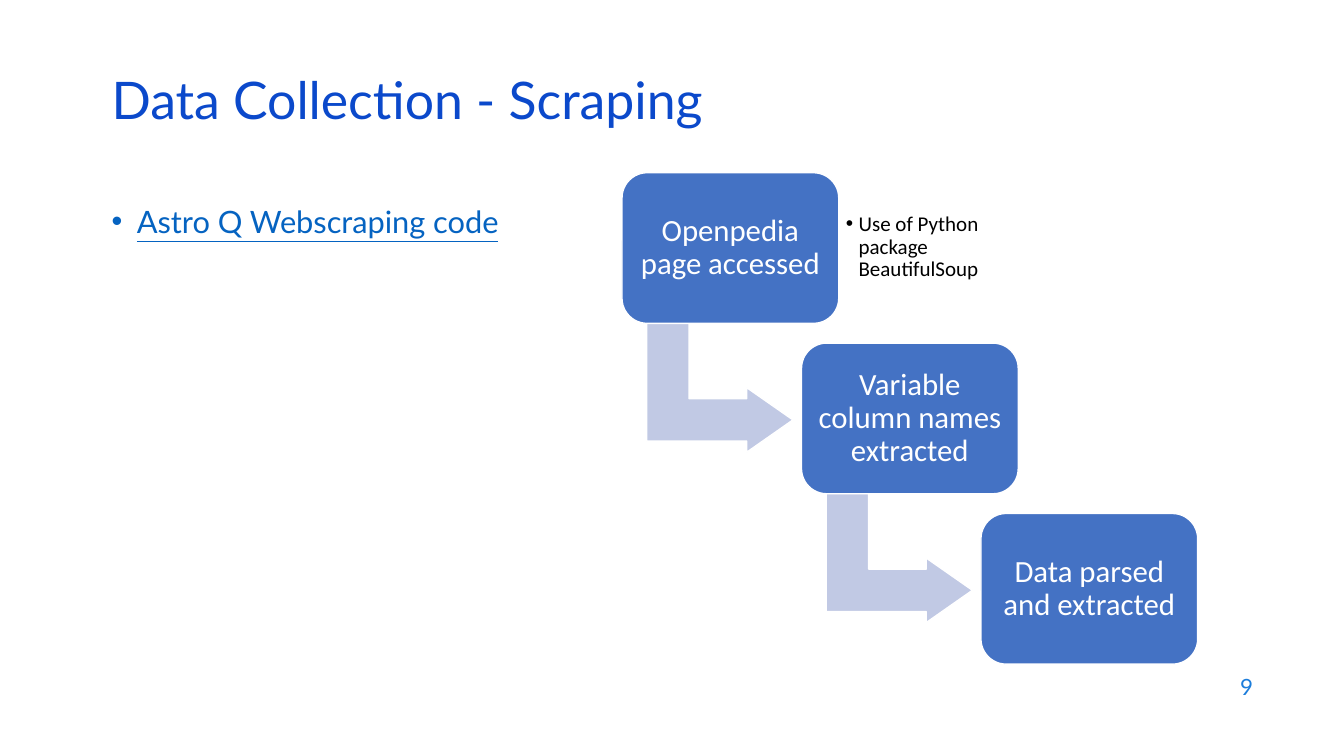
from dataclasses import dataclass
from typing import Optional

from lxml import etree
from pptx import Presentation
from pptx import util as u
from pptx.dml import color
from pptx.enum import shapes, text
from pptx.oxml import ns


@dataclass(frozen=True)
class Theme:
    heading_font: str = "Lato"
    diagram_font: str = "Calibri"
    title: str = "0B49CB"
    link: str = "0563C1"
    number: str = "1C7DDB"
    card: str = "4472C4"
    arrow: str = "C1C9E4"
    white: str = "FFFFFF"
    black: str = "000000"
    title_size: float = 37
    body_size: float = 22
    note_size: float = 15
    number_size: float = 16


@dataclass(frozen=True)
class Frame:
    left: float
    top: float
    width: float
    height: float

    def lengths(self) -> tuple:
        return tuple(u.Pt(n) for n in (self.left, self.top, self.width, self.height))


@dataclass(frozen=True)
class Label:
    words: str
    font: str
    size: float
    ink: str
    align: text.PP_ALIGN = text.PP_ALIGN.LEFT
    anchor: text.MSO_ANCHOR = text.MSO_ANCHOR.MIDDLE
    spacing: float = 1.0
    bullet_indent: float = 0
    underline: Optional[bool] = None
    inset: Optional[float] = None


THEME = Theme()
CARD_WIDTH, CARD_HEIGHT = 154.8, 107.6
FIRST_LEFT, FIRST_TOP = 444.3, 123.4
STEP_RIGHT, STEP_DOWN = 128.2, 121.7
ARROW_WIDTH, ARROW_HEIGHT = 92.2, 104.4
ARROW_RIGHT, ARROW_DOWN = 23.8, 101.3

TITLE = Label("Data Collection - Scraping", THEME.heading_font, THEME.title_size,
              THEME.title, spacing=0.7)
LINK = Label("Astro Q Webscraping code", THEME.heading_font, THEME.body_size,
             THEME.link, anchor=text.MSO_ANCHOR.TOP, bullet_indent=18, underline=True)
NUMBER = Label("9", THEME.heading_font, THEME.number_size, THEME.number,
               align=text.PP_ALIGN.RIGHT)
NOTE = Label("Use of Python package BeautifulSoup", THEME.diagram_font, THEME.note_size,
             THEME.black, spacing=0.9, bullet_indent=9, inset=5.8)
STEPS = ("Openpedia page accessed", "Variable column names extracted",
         "Data parsed and extracted")


def write(box, label: Label) -> None:
    frame = box.text_frame
    frame.word_wrap = True
    frame.vertical_anchor = label.anchor
    if label.inset is not None:
        frame.margin_left = frame.margin_right = u.Pt(label.inset)
        frame.margin_top = frame.margin_bottom = u.Pt(label.inset)
    para = frame.paragraphs[0]
    para.text = label.words
    para.alignment = label.align
    para.line_spacing = label.spacing
    if label.bullet_indent:
        properties = para._p.get_or_add_pPr()
        properties.set("marL", str(u.Pt(label.bullet_indent)))
        properties.set("indent", str(-u.Pt(label.bullet_indent)))
        etree.SubElement(properties, ns.qn("a:buFont")).set("typeface", "Arial")
        etree.SubElement(properties, ns.qn("a:buChar")).set("char", "•")
    para.font.name = label.font
    para.font.size = u.Pt(label.size)
    para.font.underline = label.underline
    para.font.color.rgb = color.RGBColor.from_string(label.ink)


def add_label(page, frame: Frame, label: Label) -> None:
    write(page.shapes.add_textbox(*frame.lengths()), label)


def add_block(page, kind: shapes.MSO_SHAPE, frame: Frame, fill: str, adjustments: tuple):
    block = page.shapes.add_shape(kind, *frame.lengths())
    block.shadow.inherit = False
    block.fill.solid()
    block.fill.fore_color.rgb = color.RGBColor.from_string(fill)
    block.line.color.rgb = color.RGBColor.from_string(THEME.white)
    block.line.width = u.Pt(1)
    for index, value in enumerate(adjustments):
        block.adjustments[index] = value
    return block


def add_step(page, index: int, words: str) -> None:
    left = FIRST_LEFT + index * STEP_RIGHT
    top = FIRST_TOP + index * STEP_DOWN
    if index < len(STEPS) - 1:
        bend = Frame(left + ARROW_RIGHT, top + ARROW_DOWN, ARROW_WIDTH, ARROW_HEIGHT)
        arrow = add_block(page, shapes.MSO_SHAPE.BENT_UP_ARROW, bend, THEME.arrow,
                          (0.328, 0.25, 0.358))
        arrow.rotation = 90
    card = add_block(page, shapes.MSO_SHAPE.ROUNDED_RECTANGLE,
                     Frame(left, top, CARD_WIDTH, CARD_HEIGHT), THEME.card, (0.167,))
    write(card, Label(words, THEME.diagram_font, THEME.body_size, THEME.white,
                      align=text.PP_ALIGN.CENTER, spacing=0.9, inset=6.5))


def main() -> None:
    deck = Presentation()
    deck.slide_width, deck.slide_height = u.Pt(960), u.Pt(540)
    page = deck.slides.add_slide(deck.slide_layouts[6])
    add_label(page, Frame(686.2, 474.5, 216, 31.7), NUMBER)
    add_label(page, Frame(72.7, 141.1, 309.6, 300.2), LINK)
    add_label(page, Frame(72.7, 54.7, 828, 43.2), TITLE)
    for index, words in enumerate(STEPS):
        add_step(page, index, words)
    add_label(page, Frame(598.5, 133.2, 112.3, 87.1), NOTE)
    deck.save("out.pptx")


if __name__ == "__main__":
    main()
